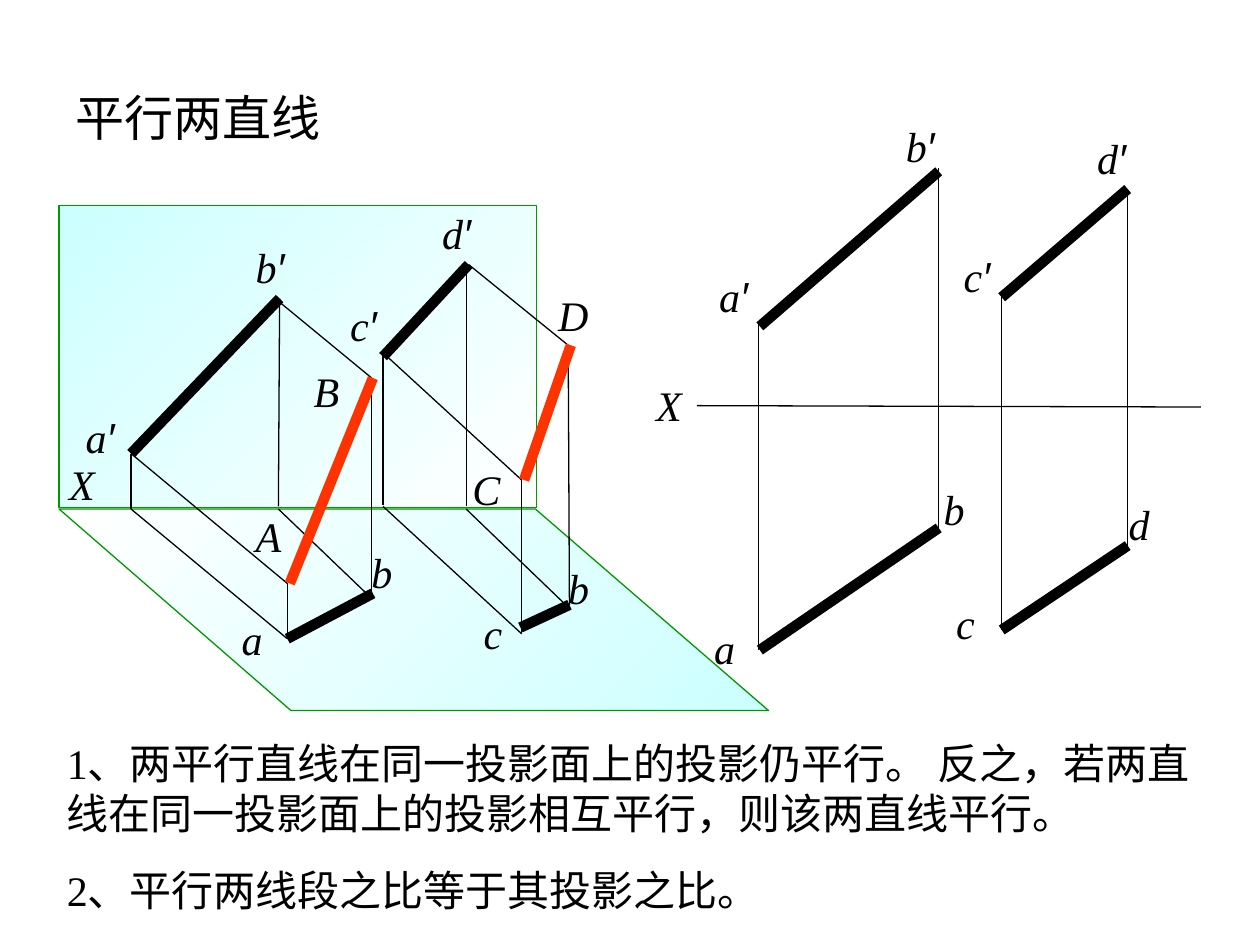
from lxml.etree import SubElement
from pptx import Presentation
from pptx.dml.color import RGBColor
from pptx.enum.shapes import MSO_CONNECTOR, MSO_SHAPE
from pptx.enum.text import MSO_ANCHOR, MSO_AUTO_SIZE, PP_ALIGN
from pptx.oxml.ns import qn
from pptx.util import Pt

BLACK = RGBColor(0x00, 0x00, 0x00)
WHITE = RGBColor(0xFF, 0xFF, 0xFF)
CYAN = RGBColor(0xCC, 0xFF, 0xFF)
GREEN = RGBColor(0x00, 0x99, 0x00)
RED = RGBColor(0xFF, 0x33, 0x00)
THIN, THICK = 0.75, 6
PRIME = "′"

STATEMENTS = (
    "1、两平行直线在同一投影面上的投影仍平行。 反之，若两直线在同一投影面上的投影相互平行，则该两直线平行。",
    "2、平行两线段之比等于其投影之比。",
)
WALL = (33.8, 117.4, 272.9, 172.8)
FLOOR = ((33.8, 290.9), (166.3, 406.1), (439.2, 406.1), (306, 290.9))

SPATIAL_PROJECTORS = (
    (74.9, 259.2, 74.9, 290.9), (164.2, 333.4, 164.2, 365),
    (159.1, 172.1, 212.4, 216), (74.9, 259.2, 164.2, 333.4),
    (74.9, 290.9, 164.2, 365), (159.1, 290.9, 212.4, 342),
    (159.1, 289.4, 159.8, 170.6), (212.4, 339.8, 212.4, 216),
    (267.8, 151.2, 324.7, 197.3), (324.7, 197.3, 325.4, 345.6),
    (266.4, 290.9, 324.7, 347), (218.9, 288.7, 218.9, 201.6),
    (266.4, 150.5, 266.4, 289.4), (298.1, 362.2, 218.9, 289.4),
    (298.1, 274.3, 218.9, 201.6), (298.1, 274.3, 298.1, 362.2),
)
SPATIAL_PROJECTIONS = (
    (159.8, 170.6, 74.9, 259.2), (164.2, 365, 213.1, 339.1),
    (267.8, 151.2, 218.9, 203.8), (297.4, 358.6, 325.4, 345.6),
)
SPACE_SEGMENTS = ((326.2, 197.3, 299.5, 274.3), (213.1, 216, 165.6, 333.4))
PLANAR_PROJECTORS = (
    (433.4, 371.5, 433.4, 185), (398.2, 231.8, 686.2, 232.6),
    (536.4, 302.4, 536.4, 95.8), (572.4, 167.8, 572.4, 360),
    (644.4, 108, 644.4, 311.8),
)
PLANAR_PROJECTIONS = (
    (536.4, 97.9, 434.2, 186.5), (434.2, 371.5, 536.4, 301.7),
    (644.4, 108, 572.4, 169.9), (572.4, 360, 644.4, 311.8),
)
LABELS = (
    ("X", 32.4, 258.5, 38.2), ("b′", 139, 134.6, 40.3), ("a", 131, 347, 36.7),
    ("a′", 41.8, 231.8, 53.3), ("d′", 245.5, 115.2, 44.6),
    ("b", 205.2, 308.9, 25.9), ("b", 317.5, 318.2, 28.1),
    ("c", 269.3, 343.4, 44.6), ("c′", 193, 167.8, 41.8),
    ("A", 139, 288, 56.2), ("B", 172.1, 205.2, 56.2),
    ("C", 262.8, 261.4, 42.5), ("D", 311.8, 162, 42.5),
    ("X", 367.9, 213.1, 81.4), ("b′", 510.5, 65.5, 66.2),
    ("a′", 403.9, 151.2, 50.4), ("a", 401, 352.1, 41.8),
    ("b", 532.1, 272.9, 45.4), ("d", 637.9, 281.5, 66.2),
    ("c′", 543.6, 139.7, 66.2), ("d′", 619.9, 72, 66.2),
    ("c", 539.3, 337.7, 66.2),
)


def write_text(paragraph, text, font="Times New Roman", size=24, italic=False):
    """Append a formatted black run to a left-aligned paragraph."""
    paragraph.alignment = PP_ALIGN.LEFT
    run = paragraph.add_run()
    run.text = text
    run.font.name = font
    run.font.size = Pt(size)
    run.font.italic = italic
    run.font.color.rgb = BLACK


def place(placeholder, left, top, width, height):
    """Move a placeholder and return its text frame."""
    placeholder.left, placeholder.top = Pt(left), Pt(top)
    placeholder.width, placeholder.height = Pt(width), Pt(height)
    frame = placeholder.text_frame
    frame.auto_size = MSO_AUTO_SIZE.NONE
    return frame


def add_statements(body):
    """Fill the body placeholder with unbulleted statements."""
    frame = place(body, 31, 417.6, 671.8, 108.7)
    for index, statement in enumerate(STATEMENTS):
        paragraph = frame.add_paragraph() if index else frame.paragraphs[0]
        properties = paragraph._p.get_or_add_pPr()
        properties.set("marL", "0")
        properties.set("indent", "0")
        SubElement(properties, qn("a:buNone"))
        paragraph.space_before = Pt(15 if index else 0)
        write_text(paragraph, statement)


def style_plane(plane, start, end):
    """Give a projection plane its diagonal gradient and green outline."""
    plane.shadow.inherit = False
    plane.fill.gradient()
    plane.fill.gradient_angle = 135
    for stop, position, color in zip(plane.fill.gradient_stops, (0, 1), (start, end)):
        stop.position = position
        stop.color.rgb = color
    plane.line.color.rgb = GREEN
    plane.line.width = Pt(THIN)


def add_planes(shapes):
    """Draw the vertical and the horizontal projection plane."""
    wall = shapes.add_shape(MSO_SHAPE.RECTANGLE, *map(Pt, WALL))
    style_plane(wall, WHITE, CYAN)
    corners = [(Pt(x), Pt(y)) for x, y in FLOOR]
    outline = shapes.build_freeform(*corners[0])
    outline.add_line_segments(corners[1:], close=True)
    style_plane(outline.convert_to_shape(), CYAN, WHITE)


def add_lines(shapes, segments, width=THIN, color=BLACK):
    """Draw straight segments in one weight and colour."""
    for segment in segments:
        line = shapes.add_connector(MSO_CONNECTOR.STRAIGHT, *map(Pt, segment))
        line.line.color.rgb = color
        line.line.width = Pt(width)
        SubElement(line._element.spPr, qn("a:effectLst"))


def add_label(shapes, name, left, top, width):
    """Label a point, with any prime mark set in Arial."""
    frame = shapes.add_textbox(Pt(left), Pt(top), Pt(width), Pt(36)).text_frame
    frame.word_wrap = True
    letter, prime, _ = name.partition(PRIME)
    write_text(frame.paragraphs[0], letter, italic=True)
    if prime:
        write_text(frame.paragraphs[0], prime, font="Arial", italic=True)


def main():
    """Build the slide on parallel lines and save it."""
    presentation = Presentation()
    presentation.slide_width, presentation.slide_height = Pt(720), Pt(540)
    slide = presentation.slides.add_slide(presentation.slide_layouts[1])
    shapes = slide.shapes
    heading = place(shapes.title, 36, 21.6, 648, 90)
    heading.vertical_anchor = MSO_ANCHOR.MIDDLE
    write_text(heading.paragraphs[0], "平行两直线", font="Arial", size=28)
    add_statements(slide.placeholders[1])
    add_planes(shapes)
    add_lines(shapes, SPATIAL_PROJECTORS + PLANAR_PROJECTORS)
    add_lines(shapes, SPATIAL_PROJECTIONS + PLANAR_PROJECTIONS, width=THICK)
    add_lines(shapes, SPACE_SEGMENTS, width=THICK, color=RED)
    for label in LABELS:
        add_label(shapes, *label)
    presentation.save("out.pptx")


if __name__ == "__main__":
    main()
